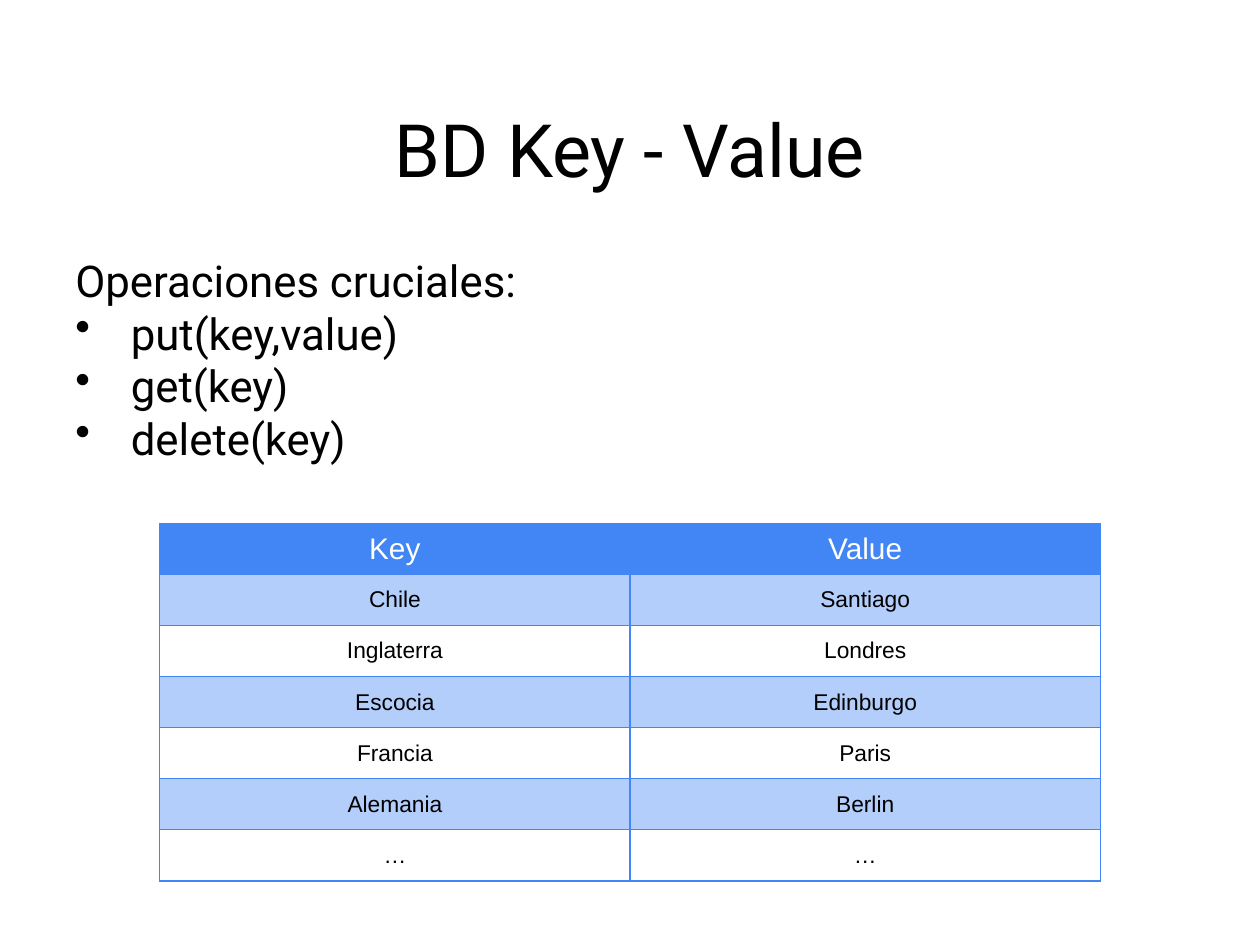
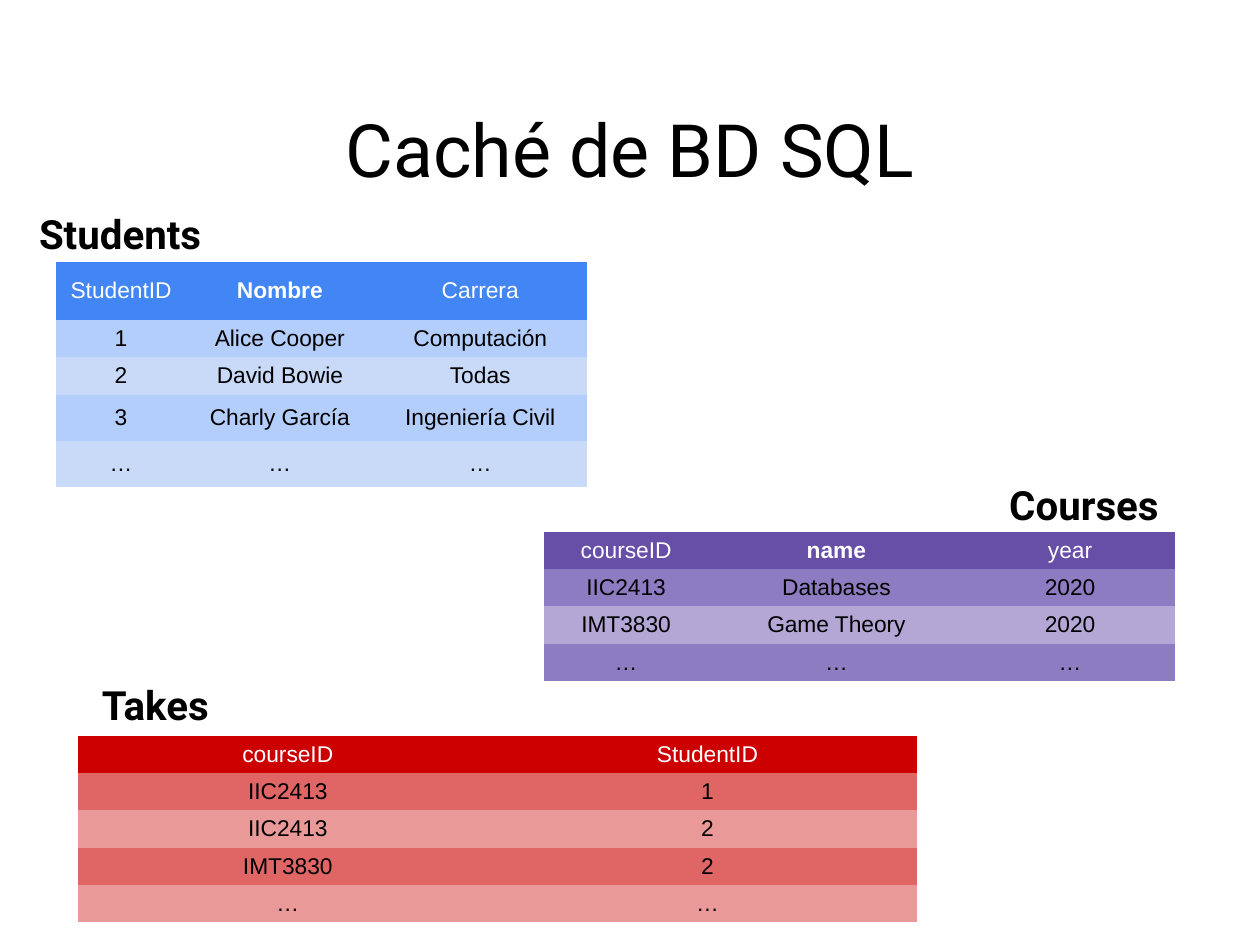
from dataclasses import dataclass
from itertools import cycle

from lxml.etree import SubElement
from pptx import Presentation
from pptx.dml.color import RGBColor
from pptx.enum.text import MSO_ANCHOR, MSO_AUTO_SIZE, PP_ALIGN
from pptx.oxml import parse_xml
from pptx.oxml.ns import nsdecls, qn
from pptx.slide import Slide
from pptx.table import _Cell
from pptx.text.text import TextFrame, _Paragraph
from pptx.util import Cm, Pt

SLIDE_WIDTH, SLIDE_HEIGHT = 25.4, 19.05
TEXT_FONT, TABLE_FONT = "Roboto", "Arial"
BLACK, WHITE = "000000", "FFFFFF"
BLUE, MID_BLUE, PALE_BLUE = "4285F4", "B3CEFB", "C9DAF8"
PURPLE, MID_PURPLE, PALE_PURPLE = "674EA7", "8E7CC3", "B4A7D6"
RED, MID_RED, PALE_RED = "CC0000", "E06666", "EA9999"
PLAIN_TABLE_STYLE = "{2D5ABB26-0587-4C30-8999-92F81FD0307C}"
INSET = 0.1
CELL_SIDE_INSET = 0.18
BULLET_INDENT = 1.12


@dataclass
class TextBlock:
    lines: list[str]
    left: float
    top: float
    width: float
    height: float
    size: float
    bold: bool = False
    align: PP_ALIGN = PP_ALIGN.CENTER


@dataclass
class DataTable:
    left: float
    top: float
    column_widths: list[float]
    row_heights: list[float]
    rows: list[list[str]]
    header_color: str
    band_colors: tuple[str | None, str | None]
    header_size: float = 13
    bold_header: str = ""
    border: str | None = None


def color(value: str) -> RGBColor:
    return RGBColor.from_string(value)


def style_paragraph(paragraph: _Paragraph, font_name: str, size: float,
                    text_color: str, bold: bool, align: PP_ALIGN) -> None:
    paragraph.alignment = align
    font = paragraph.font
    font.name = font_name
    font.size = Pt(size)
    font.bold = bold
    font.color.rgb = color(text_color)


def add_bullet(paragraph: _Paragraph) -> None:
    properties = paragraph._p.get_or_add_pPr()
    properties.set("marL", str(Cm(BULLET_INDENT)))
    properties.set("indent", str(-Cm(BULLET_INDENT)))
    bullet = parse_xml(f'<a:buChar {nsdecls("a")} char="•"/>')
    properties.insert_element_before(bullet, "a:tabLst", "a:defRPr", "a:extLst")


def add_text(slide: Slide, block: TextBlock) -> TextFrame:
    shape = slide.shapes.add_textbox(Cm(block.left), Cm(block.top),
                                     Cm(block.width), Cm(block.height))
    frame = shape.text_frame
    frame.word_wrap = True
    frame.auto_size = MSO_AUTO_SIZE.SHAPE_TO_FIT_TEXT
    frame.vertical_anchor = MSO_ANCHOR.MIDDLE
    frame.margin_left = frame.margin_right = Cm(INSET)
    frame.margin_top = frame.margin_bottom = Cm(INSET)
    frame.text = "\n".join(block.lines)
    for paragraph in frame.paragraphs:
        style_paragraph(paragraph, TEXT_FONT, block.size, BLACK, block.bold, block.align)
    return frame


def add_title(slide: Slide, title: str, width: float) -> None:
    left = (SLIDE_WIDTH - width) / 2
    add_text(slide, TextBlock([title], left, 1.98, width, 2.01, 42))


def add_caption(slide: Slide, caption: str, left: float, top: float) -> None:
    add_text(slide, TextBlock([caption], left, top, 4.85, 1.19, 23, bold=True))


def set_borders(cell: _Cell, line_color: str) -> None:
    """Outline all four sides; lines must come before the fill in the cell."""
    properties = cell._tc.get_or_add_tcPr()
    for position, side in enumerate(("lnL", "lnR", "lnT", "lnB")):
        line = parse_xml(f'<a:{side} {nsdecls("a")} w="{Pt(0.75)}"/>')
        fill = SubElement(line, qn("a:solidFill"))
        SubElement(fill, qn("a:srgbClr")).set("val", line_color)
        properties.insert(position, line)


def fill_cell(cell: _Cell, text: str, fill_color: str | None, text_color: str,
              size: float, bold: bool) -> None:
    cell.text = text
    cell.vertical_anchor = MSO_ANCHOR.MIDDLE
    cell.margin_left = cell.margin_right = Cm(CELL_SIDE_INSET)
    cell.margin_top = cell.margin_bottom = Cm(INSET)
    if fill_color:
        cell.fill.solid()
        cell.fill.fore_color.rgb = color(fill_color)
    else:
        cell.fill.background()
    style_paragraph(cell.text_frame.paragraphs[0], TABLE_FONT, size, text_color,
                    bold, PP_ALIGN.CENTER)


def add_data_table(slide: Slide, data: DataTable) -> None:
    graphic_frame = slide.shapes.add_table(
        len(data.rows), len(data.column_widths), Cm(data.left), Cm(data.top),
        Cm(sum(data.column_widths)), Cm(sum(data.row_heights)))
    table = graphic_frame.table
    next(table._tbl.iter(qn("a:tableStyleId"))).text = PLAIN_TABLE_STYLE
    for column, width in zip(table.columns, data.column_widths):
        column.width = Cm(width)
    bands = cycle(data.band_colors)
    for row_index, texts in enumerate(data.rows):
        is_header = row_index == 0
        table.rows[row_index].height = Cm(data.row_heights[row_index])
        fill_color = data.header_color if is_header else next(bands)
        text_color = WHITE if is_header else BLACK
        size = data.header_size if is_header else 13
        for column_index, text in enumerate(texts):
            cell = table.cell(row_index, column_index)
            bold = is_header and text == data.bold_header
            fill_cell(cell, text, fill_color, text_color, size, bold)
            if data.border:
                set_borders(cell, data.border)


def build_key_value_slide(slide: Slide) -> None:
    add_title(slide, "BD Key - Value", 10.24)
    operations = add_text(slide, TextBlock(
        ["Operaciones cruciales:", "put(key,value)", "get(key)", "delete(key)"],
        1.42, 5, 22.56, 4.47, 25, align=PP_ALIGN.JUSTIFY))
    for paragraph in operations.paragraphs[1:]:
        add_bullet(paragraph)
    add_data_table(slide, DataTable(
        3.22, 10.55, [9.48] * 2, [1.03] * 7,
        [["Key", "Value"], ["Chile", "Santiago"], ["Inglaterra", "Londres"],
         ["Escocia", "Edinburgo"], ["Francia", "Paris"], ["Alemania", "Berlin"],
         ["…", "…"]],
        BLUE, (MID_BLUE, None), header_size=17, border=BLUE))


def build_sql_cache_slide(slide: Slide) -> None:
    add_title(slide, "Caché de BD SQL", 12.14)
    add_data_table(slide, DataTable(
        1.12, 5.28, [2.64, 3.76, 4.32], [1.17, 0.73, 0.73, 0.93, 0.93],
        [["StudentID", "Nombre", "Carrera"],
         ["1", "Alice Cooper", "Computación"],
         ["2", "David Bowie", "Todas"],
         ["3", "Charly García", "Ingeniería Civil"],
         ["…", "…", "…"]],
        BLUE, (MID_BLUE, PALE_BLUE), bold_header="Nombre"))
    add_caption(slide, "Students", 0, 4.11)
    add_data_table(slide, DataTable(
        10.97, 10.72, [3.3, 5.18, 4.24], [0.73] * 4,
        [["courseID", "name", "year"],
         ["IIC2413", "Databases", "2020"],
         ["IMT3830", "Game Theory", "2020"],
         ["…", "…", "…"]],
        PURPLE, (MID_PURPLE, PALE_PURPLE), bold_header="name"))
    add_caption(slide, "Courses", 19.43, 9.58)
    add_data_table(slide, DataTable(
        1.57, 14.83, [8.46] * 2, [0.73] * 5,
        [["courseID", "StudentID"], ["IIC2413", "1"], ["IIC2413", "2"],
         ["IMT3830", "2"], ["…", "…"]],
        RED, (MID_RED, PALE_RED)))
    add_caption(slide, "Takes", 0.71, 13.61)


def main() -> None:
    presentation = Presentation()
    presentation.slide_width = Cm(SLIDE_WIDTH)
    presentation.slide_height = Cm(SLIDE_HEIGHT)
    blank_layout = presentation.slide_layouts[6]
    for build_slide in (build_key_value_slide, build_sql_cache_slide):
        build_slide(presentation.slides.add_slide(blank_layout))
    presentation.save("out.pptx")


if __name__ == "__main__":
    main()
